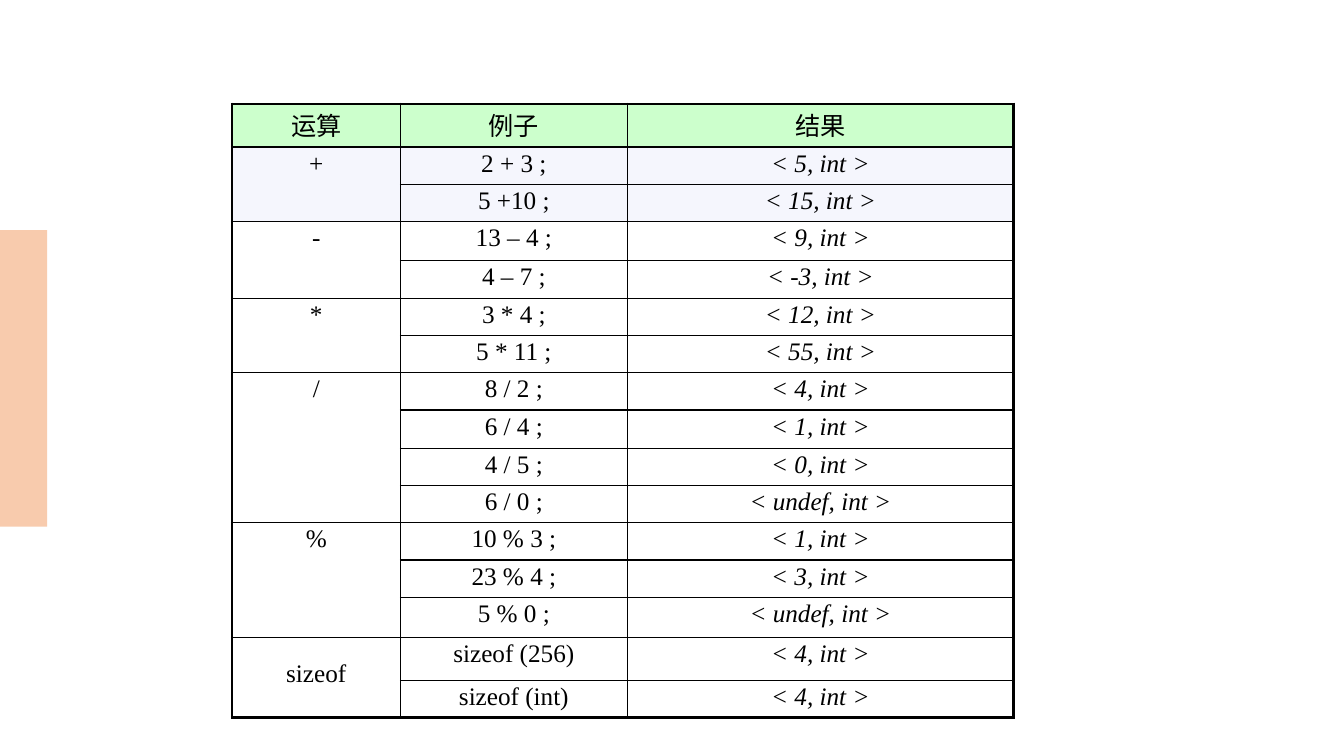
import pptx
import pptx.dml.color
import pptx.enum.shapes
import pptx.enum.text
import pptx.oxml.ns
import pptx.util
import lxml.etree

Cm = pptx.util.Cm
Pt = pptx.util.Pt
qn = pptx.oxml.ns.qn

HEADINGS = ["运算", "例子", "结果"]
OPERATIONS = [
    ("+", "F5F6FD", 0.9, [("2 + 3 ;", "5"), ("5 +10 ;", "15")]),
    ("-", None, 0.9, [("13 – 4 ;", "9"), ("4 – 7 ;", "-3")]),
    ("*", "FFFFFF", 0.9, [("3 * 4 ;", "12"), ("5 * 11 ;", "55")]),
    ("/", None, 0.9, [("8 / 2 ;", "4"), ("6 / 4 ;", "1"), ("4 / 5 ;", "0"), ("6 / 0 ;", "undef")]),
    ("%", "FFFFFF", 0.9, [("10 % 3 ;", "1"), ("23 % 4 ;", "3"), ("5 % 0 ;", "undef")]),
    ("sizeof", None, 1.6, [("sizeof (256)", "4"), ("sizeof (int)", "4")]),
]
COLUMN_WIDTHS = [4.24, 5.72, 9.73]
ROW_HEIGHT = 0.94
TALLER_ROWS = {3: 0.99, 8: 0.96, 13: 1.02, 14: 1.07}


def color(value):
    return pptx.dml.color.RGBColor.from_string(value)


class SlideBuilder:
    font_name = "Times New Roman"
    font_size = 18
    ink = "000000"
    inner_line = 1
    outer_line = 2.25

    def __init__(self, slide):
        self.slide = slide

    def rectangle(self, left, top, width, height, fill):
        shape = self.slide.shapes.add_shape(
            pptx.enum.shapes.MSO_SHAPE.RECTANGLE, Cm(left), Cm(top), Cm(width), Cm(height))
        shape.shadow.inherit = False
        shape.fill.solid()
        shape.fill.fore_color.rgb = color(fill)
        shape.line.fill.background()

    def table(self, left, top, widths, heights):
        frame = self.slide.shapes.add_table(
            len(heights), len(widths), Cm(left), Cm(top), Cm(sum(widths)), Cm(sum(heights)))
        table = frame.table
        table.first_row = False
        table.horz_banding = False
        for column, width in zip(table.columns, widths):
            column.width = Cm(width)
        for row, height in zip(table.rows, heights):
            row.height = Cm(height)
        return table

    def border(self, cell, side, width):
        line = lxml.etree.SubElement(
            cell._tc.get_or_add_tcPr(), qn("a:ln" + side), w=str(Pt(width)))
        fill = lxml.etree.SubElement(line, qn("a:solidFill"))
        lxml.etree.SubElement(fill, qn("a:srgbClr"), val=self.ink)

    def cell(self, table, row, column, text, fill=None, span=1, line_spacing=0.9, italic=False):
        cell = table.cell(row, column)
        if span > 1:
            cell.merge(table.cell(row + span - 1, column))
        outer_sides = {
            "L": column == 0,
            "R": column == len(table.columns) - 1,
            "T": row == 0,
            "B": row + span == len(table.rows),
        }
        for side, is_outer in outer_sides.items():
            self.border(cell, side, self.outer_line if is_outer else self.inner_line)
        if fill:
            cell.fill.solid()
            cell.fill.fore_color.rgb = color(fill)
        else:
            cell.fill.background()
        paragraph = cell.text_frame.paragraphs[0]
        paragraph.alignment = pptx.enum.text.PP_ALIGN.CENTER
        paragraph.line_spacing = line_spacing
        space_before = lxml.etree.SubElement(paragraph._p.get_or_add_pPr(), qn("a:spcBef"))
        lxml.etree.SubElement(space_before, qn("a:spcPct"), val="20000")
        run = paragraph.add_run()
        run.text = text
        run.font.name = self.font_name
        run.font.size = Pt(self.font_size)
        run.font.italic = italic
        run.font.color.rgb = color(self.ink)


presentation = pptx.Presentation()
presentation.slide_width = Cm(33.87)
presentation.slide_height = Cm(19.05)
builder = SlideBuilder(presentation.slides.add_slide(presentation.slide_layouts[6]))

row_count = 1 + sum(len(examples) for *_, examples in OPERATIONS)
row_heights = [TALLER_ROWS.get(row, ROW_HEIGHT) for row in range(row_count)]
operations_table = builder.table(5.85, 2.62, COLUMN_WIDTHS, row_heights)

for column, heading in enumerate(HEADINGS):
    builder.cell(operations_table, 0, column, heading, "CCFFCC")

row = 1
for operator, fill, line_spacing, examples in OPERATIONS:
    builder.cell(operations_table, row, 0, operator, fill, len(examples), line_spacing)
    for expression, value in examples:
        builder.cell(operations_table, row, 1, expression, fill)
        builder.cell(operations_table, row, 2, f"< {value}, int >", fill, italic=True)
        row += 1

builder.rectangle(0, 5.8, 1.19, 7.47, "F8CBAD")

presentation.save("out.pptx")
